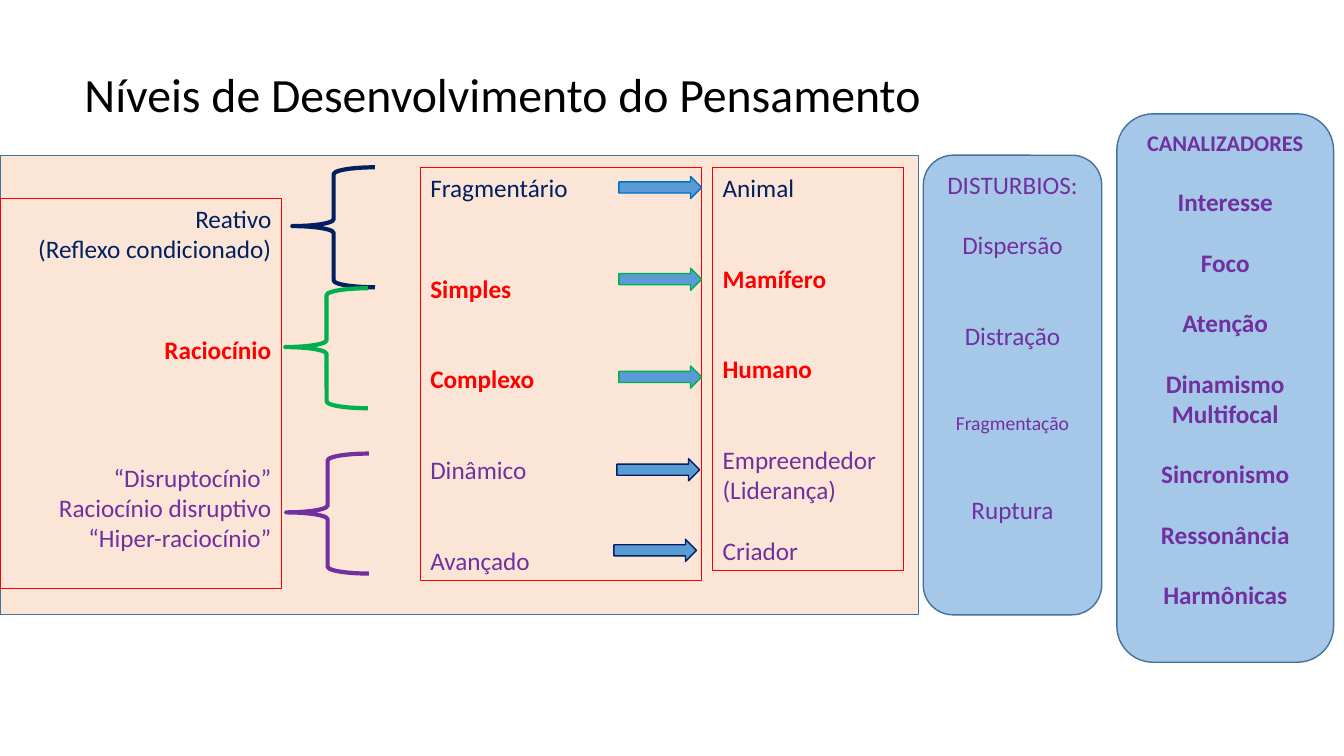
from dataclasses import dataclass

from lxml import etree
from pptx import Presentation, util as u
from pptx.dml.color import RGBColor
from pptx.enum import shapes, text
from pptx.oxml import ns

# One grid cell is a tenth of an inch; boxes are (column, row, columns, rows).
CELL = u.Inches(0.1)
COLUMNS, ROWS = 133.33, 75


@dataclass(frozen=True)
class Theme:
    font: str = "Calibri"
    title: float = 34.1
    body: float = 18
    heading: float = 16
    small: float = 14
    leading: float = 1.2
    black: str = "000000"
    navy: str = "002060"
    red: str = "FF0000"
    purple: str = "7030A0"
    green: str = "00B050"
    blue: str = "0070C0"
    arrow: str = "5B9BD5"
    border: str = "43729D"
    peach: str = "FBE5D6"


THEME = Theme()
LEFT, CENTER, RIGHT = (text.PP_ALIGN.LEFT, text.PP_ALIGN.CENTER,
                       text.PP_ALIGN.RIGHT)
SHAPE = shapes.MSO_SHAPE

REACTIVE = dict(color=THEME.navy)
RATIONAL = dict(color=THEME.red, bold=True)
DISRUPTIVE = dict(color=THEME.purple)
CHANNEL = dict(color=THEME.purple, bold=True)


def emu(cells):
    return [round(cell * CELL) for cell in cells]


def inside(box, column, row, columns, rows):
    """Turn a box measured from another box's corner into a slide box."""
    return box[0] + column, box[1] + row, columns, rows


def add_outline(slide, preset, box, line, width=1, fill=None, alpha=None,
                adjustments=()):
    shape = slide.shapes.add_shape(preset, *emu(box))
    shape.shadow.inherit = False
    for index, value in enumerate(adjustments):
        shape.adjustments[index] = value
    if fill:
        shape.fill.solid()
        shape.fill.fore_color.rgb = RGBColor.from_string(fill)
    else:
        shape.fill.background()
    if alpha:
        color = shape.fill._xPr.find(".//" + ns.qn("a:srgbClr"))
        etree.SubElement(color, ns.qn("a:alpha"), val=str(alpha * 1000))
    shape.line.color.rgb = RGBColor.from_string(line)
    shape.line.width = u.Pt(width)
    return shape


def add_line(frame, words, first=False, gap=0, size=THEME.body,
             color=THEME.black, bold=False, align=LEFT, spacing=None):
    """Write one paragraph; gap counts body lines left free above it."""
    paragraph = frame.paragraphs[0] if first else frame.add_paragraph()
    paragraph.alignment = align
    if spacing:
        paragraph.line_spacing = spacing
    if gap:
        paragraph.space_before = u.Pt(
            round(gap * THEME.body * THEME.leading, 1))
    run = paragraph.add_run()
    run.text = words
    run.font.name = THEME.font
    run.font.size = u.Pt(size)
    run.font.bold = bold
    run.font.color.rgb = RGBColor.from_string(color)


def fill_frame(shape, lines, align):
    """Write lines of (words, gap, format) from the top of a shape."""
    frame = shape.text_frame
    frame.word_wrap = True
    frame.vertical_anchor = text.MSO_ANCHOR.TOP
    for index, (words, gap, style) in enumerate(lines):
        add_line(frame, words, first=index == 0, gap=gap, align=align, **style)


def add_title(slide, box, words):
    frame = slide.shapes.add_textbox(*emu(box)).text_frame
    frame.word_wrap = True
    frame.vertical_anchor = text.MSO_ANCHOR.MIDDLE
    add_line(frame, words, first=True, size=THEME.title, spacing=0.7)


def add_levels(slide, box):
    """Panel of thought levels, their stages and the matching beings."""
    add_outline(slide, SHAPE.RECTANGLE, box, THEME.border, fill=THEME.peach)
    levels = [
        ("Reativo", 0, REACTIVE),
        ("(Reflexo condicionado)", 0, REACTIVE),
        ("Raciocínio", 2.33, RATIONAL),
        ("“Disruptocínio”", 3.22, DISRUPTIVE),
        ("Raciocínio disruptivo", 0, DISRUPTIVE),
        ("“Hiper-raciocínio”", 0, DISRUPTIVE),
    ]
    stages = [
        ("Fragmentário", 0, REACTIVE),
        ("Simples", 2.33, RATIONAL),
        ("Complexo", 2, RATIONAL),
        ("Dinâmico", 2, DISRUPTIVE),
        ("Avançado", 2, DISRUPTIVE),
    ]
    beings = [
        ("Animal", 0, REACTIVE),
        ("Mamífero", 2, RATIONAL),
        ("Humano", 2, RATIONAL),
        ("Empreendedor", 2, DISRUPTIVE),
        ("(Liderança)", 0, DISRUPTIVE),
        ("Criador", 1, DISRUPTIVE),
    ]
    for place, lines, align in [((0, 4.3, 27.9, 38.7), levels, RIGHT),
                                ((41.7, 1.2, 27.9, 41), stages, LEFT),
                                ((70.7, 1.2, 18.9, 40), beings, LEFT)]:
        frame = add_outline(slide, SHAPE.RECTANGLE, inside(box, *place),
                            THEME.red, width=0)
        fill_frame(frame, lines, align)

    for column, row, color in [(29, 1.2, THEME.navy), (28.3, 13.2, THEME.green),
                               (28.4, 29.6, THEME.purple)]:
        add_outline(slide, SHAPE.LEFT_BRACE,
                    inside(box, column, row, 8.2, 11.9), color, width=3,
                    adjustments=(0.083, 0.49))

    for column, row, color in [(61.4, 2.1, THEME.blue),
                               (61.4, 11.2, THEME.green),
                               (61.4, 20.9, THEME.green),
                               (61.2, 30.1, THEME.navy),
                               (60.9, 38.1, THEME.navy)]:
        add_outline(slide, SHAPE.RIGHT_ARROW,
                    inside(box, column, row, 8.2, 2.2), color,
                    fill=THEME.arrow, adjustments=(0.5, 0.5))


def add_card(slide, box, lines):
    card = add_outline(slide, SHAPE.ROUNDED_RECTANGLE, box, THEME.border,
                       fill=THEME.arrow, alpha=54, adjustments=(0.167,))
    fill_frame(card, lines, CENTER)


def main():
    deck = Presentation()
    deck.slide_width, deck.slide_height = emu((COLUMNS, ROWS))
    slide = deck.slides.add_slide(deck.slide_layouts[6])

    add_title(slide, (7.4, 6.7, 99.7, 6.5),
              "Níveis de Desenvolvimento do Pensamento")
    add_levels(slide, (0, 15.4, 91.1, 45.6))
    add_card(slide, (91.6, 15.4, 17.7, 45.6), [
        ("DISTURBIOS:", 0, DISRUPTIVE),
        ("Dispersão", 1, DISRUPTIVE),
        ("Distração", 2, DISRUPTIVE),
        ("Fragmentação", 2, dict(DISRUPTIVE, size=THEME.small)),
        ("Ruptura", 2, DISRUPTIVE),
    ])
    add_card(slide, (110.8, 11.3, 21.5, 54.4), [
        ("CANALIZADORES", 0, dict(CHANNEL, size=THEME.heading)),
        ("Interesse", 1, CHANNEL),
        ("Foco", 1, CHANNEL),
        ("Atenção", 1, CHANNEL),
        ("Dinamismo", 1, CHANNEL),
        ("Multifocal", 0, CHANNEL),
        ("Sincronismo", 1, CHANNEL),
        ("Ressonância", 1, CHANNEL),
        ("Harmônicas", 1, CHANNEL),
    ])
    deck.save("out.pptx")


if __name__ == "__main__":
    main()
